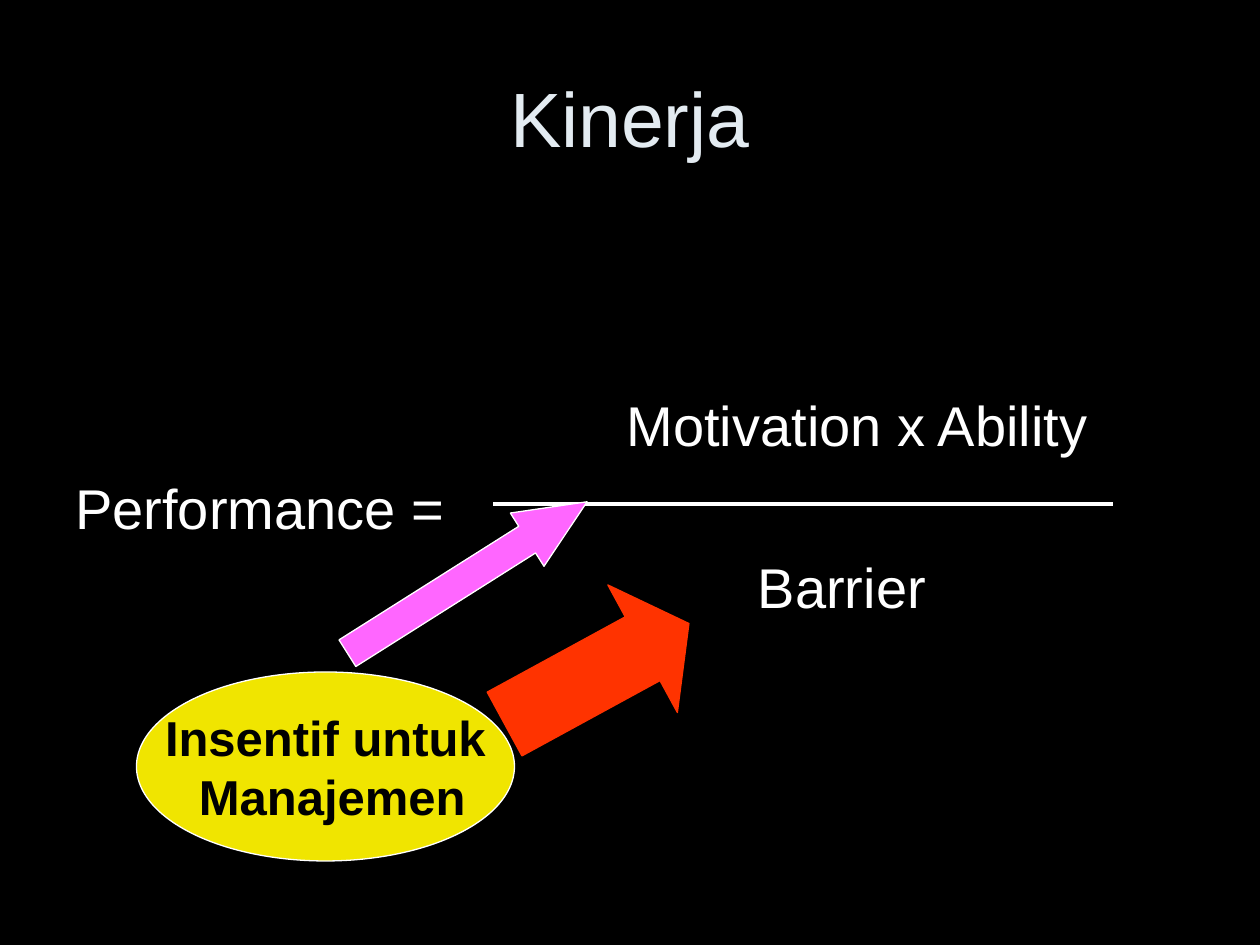
"""Build the Kinerja slide: performance as a fraction, with management incentives."""
import pptx
import pptx.dml.color
import pptx.enum.shapes
import pptx.enum.text
import pptx.oxml.ns
import pptx.util

Pt = pptx.util.Pt
SHAPES = pptx.enum.shapes.MSO_SHAPE
ALIGN = pptx.enum.text.PP_ALIGN
ANCHOR = pptx.enum.text.MSO_ANCHOR
COLOURS = {
    "background": "000000",
    "title": "E3EBF1",
    "text": "FFFFFF",
    "ellipse": "F0E500",
    "ellipse_text": "000000",
    "red": "FF3300",
    "pink": "FF66FF",
}


def colour(name):
    """Return the named colour."""
    return pptx.dml.color.RGBColor.from_string(COLOURS[name])


def write(frame, lines, size, ink, align=ALIGN.LEFT, bold=False, gap=0, indents=()):
    """Write one paragraph per line, with a gap between lines and optional left indents."""
    for index, line in enumerate(lines):
        para = frame.paragraphs[0] if index == 0 else frame.add_paragraph()
        para.alignment = align
        if index:
            para.space_before = Pt(gap)
        if indents:
            para._p.get_or_add_pPr().set("marL", str(Pt(indents[index])))
        span = para.add_run()
        span.text = line
        span.font.name = "Arial"
        span.font.size = Pt(size)
        span.font.bold = bold
        span.font.color.rgb = colour(ink)


def add_text(page, bounds, lines, size, ink, anchor=ANCHOR.TOP, top=3.6, **style):
    """Add a wrapping text box."""
    box = page.shapes.add_textbox(*map(Pt, bounds))
    frame = box.text_frame
    frame.word_wrap = True
    frame.vertical_anchor = anchor
    frame.margin_top = Pt(top)
    write(frame, lines, size, ink, **style)


def add_filled(page, kind, bounds, fill, line):
    """Add a filled preset shape with a thin outline."""
    shape = page.shapes.add_shape(kind, *map(Pt, bounds))
    shape.shadow.inherit = False
    shape.fill.solid()
    shape.fill.fore_color.rgb = colour(fill)
    shape.line.color.rgb = colour(line)
    shape.line.width = Pt(0.75)
    return shape


def add_arrow(page, bounds, rotation, head, fill, line):
    """Add a rotated block arrow with the given head length ratio."""
    arrow = add_filled(page, SHAPES.RIGHT_ARROW, bounds, fill, line)
    arrow.adjustments[0] = 0.5
    arrow.adjustments[1] = head
    arrow.rotation = rotation


def add_fraction_bar(page, left, right, height):
    """Add the horizontal bar of the fraction."""
    bar = page.shapes.add_connector(
        pptx.enum.shapes.MSO_CONNECTOR.STRAIGHT,
        Pt(left), Pt(height), Pt(right), Pt(height))
    bar.line.color.rgb = colour("text")
    bar.line.width = Pt(2.25)
    properties = bar._element.spPr
    properties.append(properties.makeelement(pptx.oxml.ns.qn("a:effectLst"), {}))


def add_ellipse(page, bounds, lines):
    """Add the ellipse with its centred bold label."""
    ellipse = add_filled(page, SHAPES.OVAL, bounds, "ellipse", "text")
    frame = ellipse.text_frame
    frame.word_wrap = False
    frame.vertical_anchor = ANCHOR.MIDDLE
    write(frame, lines, 28, "ellipse_text", align=ALIGN.CENTER, bold=True)


def main():
    """Build and save the deck."""
    deck = pptx.Presentation()
    deck.slide_width, deck.slide_height = Pt(720), Pt(540)
    page = deck.slides.add_slide(deck.slide_layouts[6])
    page.background.fill.solid()
    page.background.fill.fore_color.rgb = colour("background")

    add_text(page, (36, 21.6, 648, 90), ["Kinerja"], 44, "title",
             anchor=ANCHOR.MIDDLE, align=ALIGN.CENTER)
    add_text(page, (36, 126, 648, 356.4), ["Motivation x Ability", "Performance ="],
             32, "text", top=97, gap=9, indents=(315, 0))
    add_fraction_bar(page, 282, 636, 288)
    add_text(page, (426, 312, 168, 46), ["Barrier"], 32, "text")
    add_ellipse(page, (78, 384, 216, 108), ["Insentif untuk", " Manajemen"])
    add_arrow(page, (281, 343.5, 120, 83), 331.4, 0.363, "red", "red")
    add_arrow(page, (186, 312, 162, 36), 327.7, 1.125, "pink", "text")
    deck.save("out.pptx")


if __name__ == "__main__":
    main()
